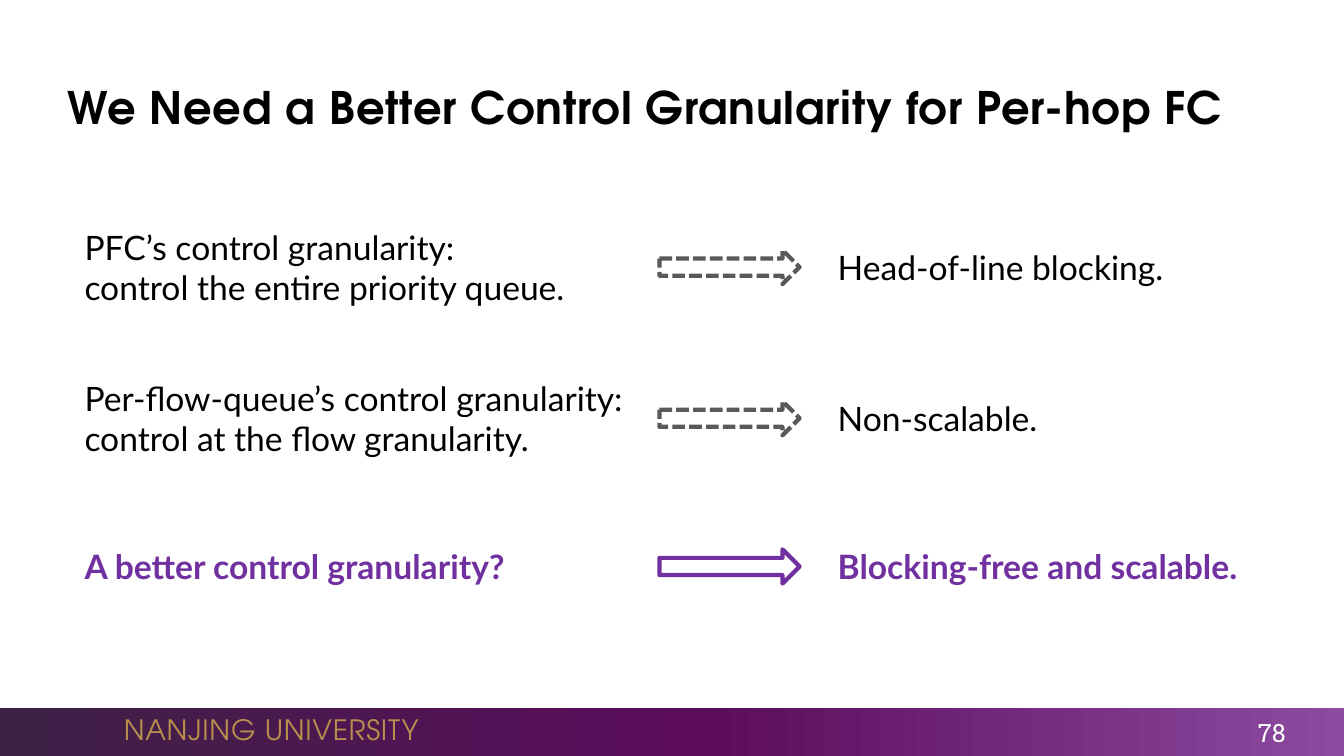
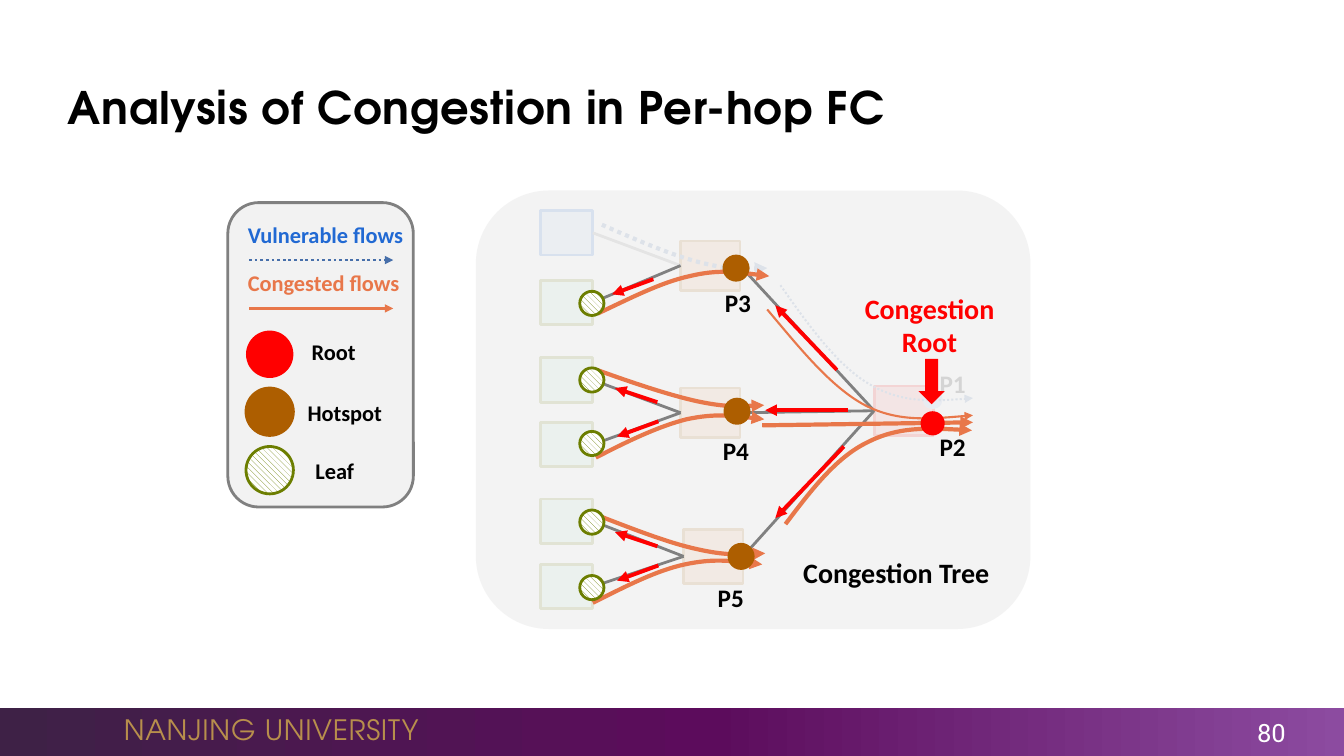
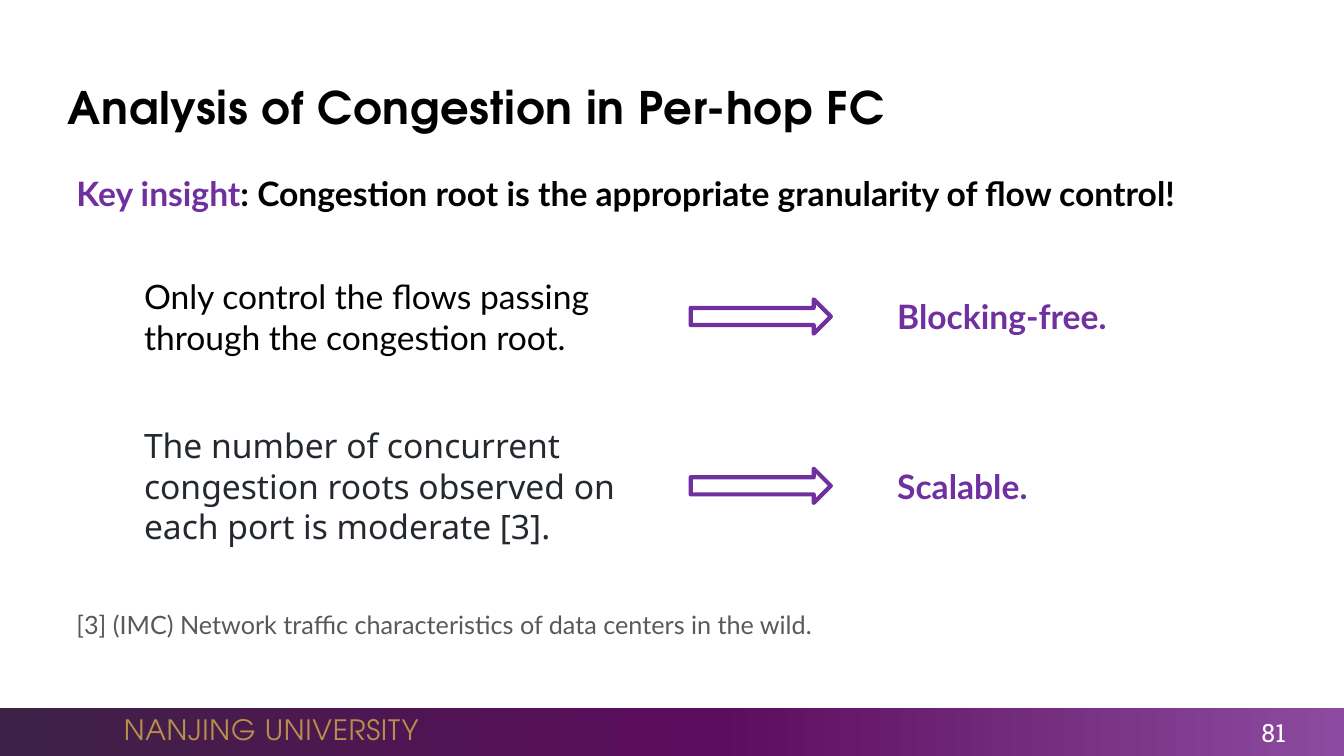
"""Three lecture slides on the control granularity of per-hop flow control."""
from copy import deepcopy

from lxml.etree import SubElement
from pptx import Presentation
from pptx.dml.color import RGBColor
from pptx.enum.dml import MSO_LINE as DASH, MSO_PATTERN as PATTERN
from pptx.enum.shapes import MSO_CONNECTOR, MSO_SHAPE as SHAPE
from pptx.enum.text import MSO_ANCHOR as ANCHOR, MSO_AUTO_SIZE, PP_ALIGN as ALIGN
from pptx.oxml.ns import qn
from pptx.util import Inches, Pt

W, H = 13.33, 7.5
BAND_TOP = 7.02
HEADING, BODY, LABEL, NUMBER = "TeX Gyre Adventor", "Lato", "Calibri", "Roboto Slab"
BLACK, WHITE, PURPLE, GREY, DARK_GREY = "000000", "FFFFFF", "7030A0", "808080", "595959"
RED, ORANGE, BLUE, STEEL, BROWN, OLIVE = "FF0000", "E8774A", "2169D3", "476FAA", "AD5E00", "6C7E00"
PANEL, GOLD, INK = "F2F2F2", "B88F4C", "24292F"
BAND_STOPS = [(0, "3E2146"), (0.53, "5C0C5C"), (1, "8C4BA0")]
LEAF = dict(pattern=(PATTERN.WIDE_DOWNWARD_DIAGONAL, OLIVE), line=OLIVE)
HOTSPOT = dict(pattern=(PATTERN.DARK_VERTICAL, BROWN), line=BROWN)
ROOT = dict(fill=RED)

ANALYSIS = "Analysis of Congestion in Per-hop FC"
NEEDS = [
    (2.65, "PFC’s control granularity:\ncontrol the entire priority queue.", "Head-of-line blocking.", False),
    (4.15, "Per-flow-queue’s control granularity: control at the flow granularity.", "Non-scalable.", False),
    (5.62, "A better control granularity?", "Blocking-free and scalable.", True),
]
INSIGHTS = [
    (3.14, "Only control the flows passing through the congestion root.", "Blocking-free.", BODY, BLACK),
    (4.82, "The number of concurrent congestion roots observed on each port is moderate [3].",
     "Scalable.", "Noto Sans", INK),
]
KEY = [("Key insight", PURPLE), (": Congestion root is the appropriate granularity of flow control!", BLACK)]
REFERENCE = "[3] (IMC) Network traffic characteristics of data centers in the wild."

SWITCHES = {"P3": (6.75, 2.39, 0.49), "P4": (6.75, 3.85, 0.49), "P5": (6.78, 5.25, 0.54)}
HOSTS = [(2.78, "P3"), (3.55, "P4"), (4.19, "P4"), (4.95, "P5"), (5.6, "P5")]
LEAF_TOPS = [2.89, 3.65, 4.28, 5.06, 5.71]
HOTSPOTS = [(7.18, 2.54), (7.19, 3.96), (7.23, 5.4)]
PORTS = [("P3", 7.09, 2.8), ("P4", 7.07, 4.27), ("P2", 9.22, 4.23), ("P5", 7.02, 5.73)]
VULNERABLE = [
    (1.5, [(7.74, 2.83), (8.02, 3.23), (8.31, 3.63), (8.62, 3.81), (8.94, 4), (9.29, 3.98), (9.65, 3.95)]),
    (3, [(5.97, 2.23), (6.31, 2.38), (6.66, 2.53), (6.93, 2.6), (7.2, 2.67), (7.4, 2.67), (7.61, 2.66)]),
]
CONGESTED = [
    (1.5, [(7.61, 3.07), (7.93, 3.45), (8.24, 3.84), (8.58, 4.02), (8.91, 4.19), (9.28, 4.15), (9.65, 4.12)]),
    (3, [(7.79, 5.2), (8.04, 4.87), (8.29, 4.54), (8.6, 4.39), (8.91, 4.23), (9.27, 4.25), (9.64, 4.27)]),
    (3, [(5.93, 3.11), (6.25, 2.96), (6.56, 2.8), (6.84, 2.74), (7.13, 2.67), (7.38, 2.71), (7.63, 2.74)]),
    (3, [(5.92, 3.67), (6.28, 3.8), (6.64, 3.92), (6.91, 3.98), (7.19, 4.04), (7.39, 4.03), (7.58, 4.02)]),
    (3, [(5.91, 4.54), (6.22, 4.38), (6.53, 4.23), (6.81, 4.16), (7.09, 4.1), (7.34, 4.13), (7.58, 4.16)]),
    (3, [(5.92, 5.11), (6.28, 5.25), (6.64, 5.39), (6.92, 5.45), (7.19, 5.51), (7.39, 5.5), (7.59, 5.49)]),
    (3, [(5.88, 5.98), (6.2, 5.82), (6.51, 5.66), (6.79, 5.6), (7.07, 5.54), (7.31, 5.57), (7.56, 5.6)]),
]
PAUSES = [
    (8.3, 3.67, 7.69, 3.03), (8.41, 4.07, 7.59, 4.07), (8.37, 4.43, 7.69, 5.14),
    (6.48, 2.77, 6.07, 2.92), (6.52, 3.99, 6.1, 3.85), (6.53, 4.18, 6.12, 4.33),
    (6.52, 5.42, 6.1, 5.28), (6.53, 5.61, 6.12, 5.76),
]
LEGEND_FLOWS = [("Vulnerable flows", 2.14, BLUE, STEEL, DASH.ROUND_DOT),
                ("Congested flows", 2.62, ORANGE, ORANGE, None)]
LEGEND_NODES = [("Root", 3.31, 3.31, 3.28, ROOT), ("Hotspot", 3.42, 3.91, 3.85, HOTSPOT),
                ("Leaf", 3.32, 4.49, 4.43, LEAF)]


def rgb(code):
    return RGBColor.from_string(code)


def inches(*values):
    return [Inches(v) for v in values]


def set_line(line, color, width, dash=None, head=False):
    line.color.rgb = rgb(color)
    line.width = Pt(width)
    if dash:
        line.dash_style = dash
    if head:
        SubElement(line._get_or_add_ln(), qn("a:tailEnd"), type="triangle")


def shape(s, kind, box, fill=None, line=None, width=2, dash=None, pattern=None, alpha=None):
    sp = s.shapes.add_shape(kind, *inches(*box))
    sp.shadow.inherit = False
    if pattern:
        sp.fill.patterned()
        sp.fill.pattern, fore = pattern
        sp.fill.fore_color.rgb, sp.fill.back_color.rgb = rgb(fore), rgb(WHITE)
    elif fill:
        sp.fill.solid()
        sp.fill.fore_color.rgb = rgb(fill)
        if alpha:
            color = sp._element.spPr.find(qn("a:solidFill"))[0]
            SubElement(color, qn("a:alpha"), val=str(alpha * 1000))
    else:
        sp.fill.background()
    if line:
        set_line(sp.line, line, width, dash)
    else:
        sp.line.fill.background()
    return sp


def circle(s, x, y, size, style):
    shape(s, SHAPE.OVAL, (x, y, size, size), **style).rotation = 90


def connector(s, ends, color, width=2, dash=None, head=False):
    c = s.shapes.add_connector(MSO_CONNECTOR.STRAIGHT, *inches(*ends))
    set_line(c.line, color, width, dash, head)
    SubElement(c._element.spPr, qn("a:effectLst"))
    return c


def link(s, left, right):
    c = connector(s, (0, 0, 1, 1), GREY)
    c.begin_connect(left, 3)
    c.end_connect(right, 1)


def curve(s, points, color, width, dash=None):
    start, *rest = [tuple(inches(*p)) for p in points]
    builder = s.shapes.build_freeform(*start)
    builder.add_line_segments(rest, close=False)
    sp = builder.convert_to_shape()
    sp.shadow.inherit = False
    sp.fill.background()
    set_line(sp.line, color, width, dash, True)
    path_xml = next(sp._element.iter(qn("a:path")))
    steps = path_xml.findall(qn("a:lnTo"))
    for i in range(0, len(steps), 3):
        bezier = SubElement(path_xml, qn("a:cubicBezTo"))
        for step in steps[i:i + 3]:
            bezier.append(step[0])
            path_xml.remove(step)


def set_font(p, size, color, font, bold=False, spacing=None):
    p.font.size, p.font.name, p.font.bold = Pt(size), font, bold
    p.font.color.rgb = rgb(color)
    if spacing:
        p.font._element.set("spc", str(spacing))


def text(s, box, content, size, color=BLACK, font=BODY, bold=False, align=ALIGN.LEFT,
         anchor=ANCHOR.TOP, spacing=None):
    sp = s.shapes.add_textbox(*inches(*box))
    tf = sp.text_frame
    tf.word_wrap, tf.vertical_anchor = True, anchor
    runs = content if isinstance(content, list) else []
    tf.text = "" if runs else content
    for words, run_color in runs:
        r = tf.paragraphs[0].add_run()
        r.text = words
        r.font.color.rgb = rgb(run_color)
    for p in tf.paragraphs:
        p.alignment = align
        set_font(p, size, color, font, bold, spacing)
    return sp


def add_band(prs, layout):
    s = prs.slides[0]
    band = shape(s, SHAPE.RECTANGLE, (0, BAND_TOP, W, H - BAND_TOP))
    band.fill.gradient()
    band.fill.gradient_angle = 0
    stops = next(band._element.iter(qn("a:gsLst")))
    stops.insert(1, deepcopy(stops[0]))
    for stop, (position, color) in zip(band.fill.gradient_stops, BAND_STOPS):
        stop.position = position
        stop.color.rgb = rgb(color)
    name = text(s, (1.13, BAND_TOP, 3.4, 0.44), "NANJING UNIVERSITY", 20, GOLD, HEADING,
                anchor=ANCHOR.MIDDLE, spacing=50)
    for sp in (band, name):
        layout.shapes._spTree.append(sp._element)


def add_slide(prs, layout, title, number):
    s = prs.slides.add_slide(layout)
    t = s.shapes.title
    t.left, t.top, t.width, t.height = inches(0.57, 0.67, 12, 0.77)
    tf = t.text_frame
    tf.text = title
    tf.auto_size, tf.vertical_anchor = MSO_AUTO_SIZE.NONE, ANCHOR.MIDDLE
    p = tf.paragraphs[0]
    p.alignment = ALIGN.LEFT
    set_font(p, 32, BLACK, HEADING, True, 50)
    text(s, (11.79, 7.09, 1.06, 0.35), number, 18, WHITE, NUMBER, align=ALIGN.RIGHT, anchor=ANCHOR.MIDDLE)
    return s


def claim_row(s, columns, middle, claim, outcome, claim_style, outcome_style, arrow_style):
    x, arrow_x, outcome_x = columns
    height, arrow_height = 1.3, 0.34
    top = middle - height / 2
    text(s, (x, top, arrow_x - x - 0.1, height), claim, 24, anchor=ANCHOR.MIDDLE, **claim_style)
    shape(s, SHAPE.RIGHT_ARROW, (arrow_x, middle - arrow_height / 2, 1.39, arrow_height), width=3, **arrow_style)
    text(s, (outcome_x, top, 4.5, height), outcome, 24, anchor=ANCHOR.MIDDLE, **outcome_style)


def fill_needs(s):
    for middle, claim, outcome, better in NEEDS:
        style = dict(color=PURPLE if better else BLACK, bold=better)
        arrow = dict(line=PURPLE) if better else dict(line=DARK_GREY, dash=DASH.SQUARE_DOT)
        claim_row(s, (0.74, 6.54, 8.21), middle, claim, outcome, style, style, arrow)


def fill_insights(s):
    text(s, (0.66, 1.67, 11.9, 0.5), KEY, 24, bold=True)
    for middle, claim, outcome, font, color in INSIGHTS:
        claim_row(s, (1.33, 6.85, 8.8), middle, claim, outcome, dict(font=font, color=color),
                  dict(color=PURPLE, bold=True), dict(line=PURPLE))
    text(s, (0.66, 6, 11.5, 0.4), REFERENCE, 18, DARK_GREY)


def fill_legend(s):
    shape(s, SHAPE.ROUNDED_RECTANGLE, (2.26, 2.01, 1.84, 3.02), PANEL, GREY)
    for words, top, color, line, dash in LEGEND_FLOWS:
        text(s, (2.36, top, 1.8, 0.37), words, 16, color, LABEL, True)
        connector(s, (2.47, top + 0.44, 3.9, top + 0.44), line, 2, dash, True)
    for words, middle, top, circle_top, style in LEGEND_NODES:
        text(s, (middle - 0.7, top, 1.4, 0.37), words, 16, BLACK, LABEL, True, ALIGN.CENTER)
        circle(s, 2.44, circle_top, 0.47, style)


def fill_tree(s):
    def port(name, x, y):
        text(s, (x, y, 0.89, 0.4), name, 18, BLACK, LABEL, True)

    def host(top, fill, line):
        return shape(s, SHAPE.RECTANGLE, (5.36, top, 0.52, 0.44), fill, line)

    root = shape(s, SHAPE.RECTANGLE, (8.67, 3.83, 0.59, 0.49), "FF8F8F", RED)
    switches = {name: shape(s, SHAPE.RECTANGLE, (x, y, 0.59, h), "F4B183", BROWN)
                for name, (x, y, h) in SWITCHES.items()}
    hosts = [(host(top, "BBEAD5", OLIVE), name) for top, name in HOSTS]
    link(s, host(2.09, "BFD5F5", BLUE), switches["P3"])
    circle(s, 9.15, 3.86, 0.2, dict(fill="A0C0F0"))
    for width, points in VULNERABLE:
        curve(s, points, STEEL, width, DASH.ROUND_DOT)
    port("P1", 9.22, 3.61)
    shape(s, SHAPE.ROUNDED_RECTANGLE, (4.72, 1.89, 5.5, 4.35), PANEL, alpha=88)

    for switch in switches.values():
        link(s, switch, root)
    for leaf, name in hosts:
        link(s, leaf, switches[name])
    for width, points in CONGESTED:
        curve(s, points, ORANGE, width)
    connector(s, (7.56, 4.22, 9.65, 4.19), ORANGE, 3, head=True)
    circle(s, 9.13, 4.08, 0.24, ROOT)
    for x, y in HOTSPOTS:
        circle(s, x, y, 0.24, HOTSPOT)
    for y in LEAF_TOPS:
        circle(s, 5.75, y, 0.24, LEAF)
    for ends in PAUSES:
        connector(s, ends, RED, 2.75, head=True)
    for name, x, y in PORTS:
        port(name, x, y)
    text(s, (7.8, 5.46, 2.18, 0.44), "Congestion Tree", 20, BLACK, LABEL, True, ALIGN.CENTER)
    text(s, (8.44, 2.84, 1.56, 0.77), "Congestion Root", 20, RED, LABEL, True, ALIGN.CENTER)
    shape(s, SHAPE.DOWN_ARROW, (9.11, 3.56, 0.26, 0.45), RED)


def main():
    prs = Presentation()
    prs.slide_width, prs.slide_height = inches(W, H)
    layout = prs.slide_layouts[5]
    needs = add_slide(prs, layout, "We Need a Better Control Granularity for Per-hop FC", "78")
    add_band(prs, layout)
    fill_needs(needs)
    analysis = add_slide(prs, layout, ANALYSIS, "80")
    fill_tree(analysis)
    fill_legend(analysis)
    fill_insights(add_slide(prs, layout, ANALYSIS, "81"))
    prs.save("out.pptx")


if __name__ == "__main__":
    main()
